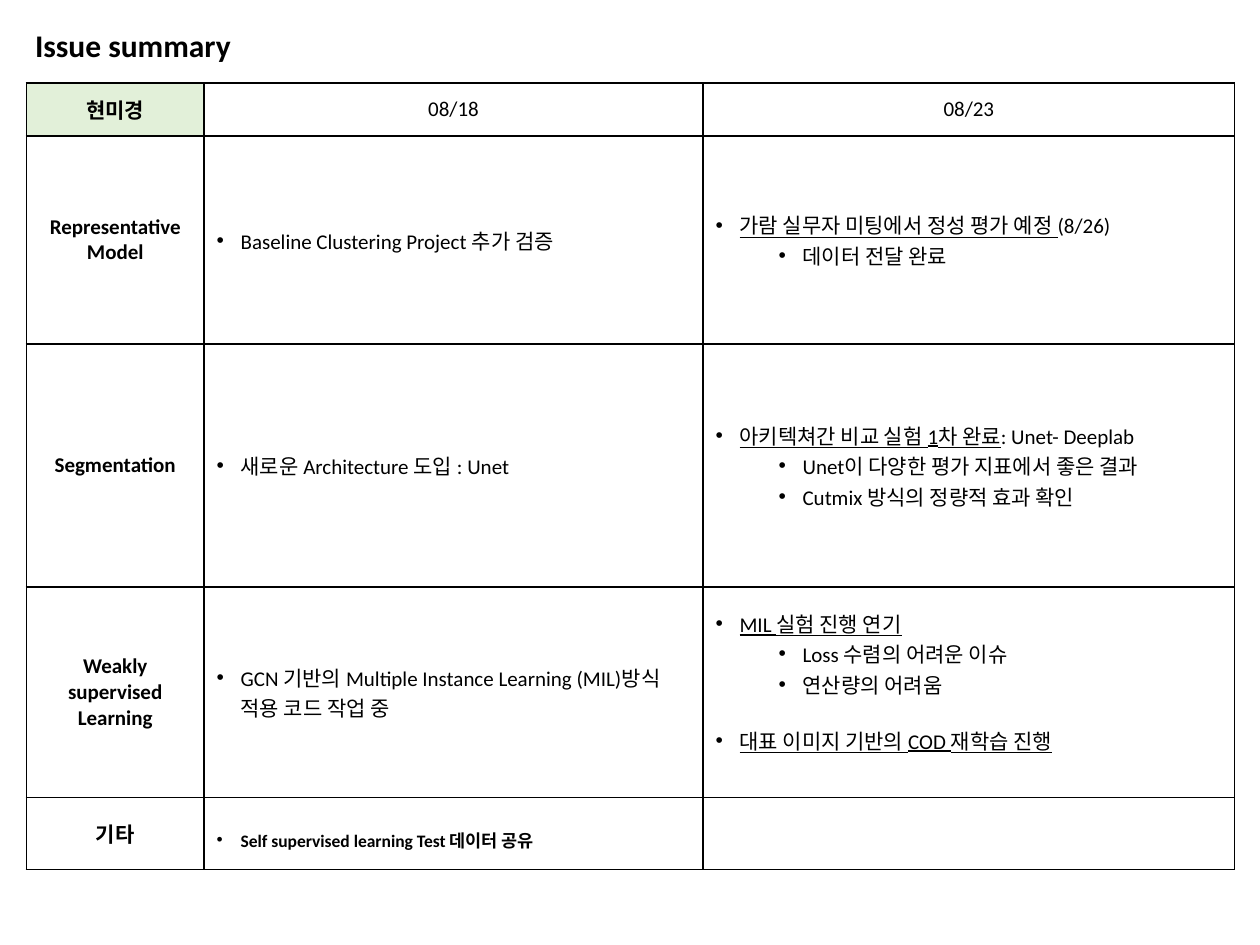
from dataclasses import dataclass

from lxml import etree
from pptx import Presentation
from pptx.dml.color import RGBColor
from pptx.enum.text import MSO_ANCHOR, PP_ALIGN
from pptx.oxml.ns import qn
from pptx.util import Inches, Pt

CENTER = PP_ALIGN.CENTER
MIDDLE = MSO_ANCHOR.MIDDLE


@dataclass(frozen=True)
class Theme:
    font: str = "Calibri"
    ink: RGBColor = RGBColor(0, 0, 0)
    paper: RGBColor = RGBColor(0xFF, 0xFF, 0xFF)
    accent: RGBColor = RGBColor(0xE2, 0xF0, 0xD9)
    title: Pt = Pt(18)
    body: Pt = Pt(12)
    small: Pt = Pt(10)
    border: Pt = Pt(1)


THEME = Theme()

# Each bullet: level, underlined part, plain part
HEADER = ["현미경", "08/18", "08/23"]
TOPICS = [
    ("Representative\nModel",
     [(0, "", "Baseline Clustering Project 추가 검증")],
     [(0, "가람 실무자 미팅에서 정성 평가 예정 ", "(8/26)"),
      (1, "", "데이터 전달 완료")]),
    ("Segmentation",
     [(0, "", "새로운 Architecture 도입 : Unet")],
     [(0, "아키텍쳐간 비교 실험 1차 완료", ": Unet- Deeplab"),
      (1, "", "Unet이 다양한 평가 지표에서 좋은 결과"),
      (1, "", "Cutmix 방식의 정량적 효과 확인")]),
    ("Weakly supervised\nLearning",
     [(0, "", "GCN 기반의 Multiple Instance Learning (MIL)방식 적용 코드 작업 중")],
     [(0, "MIL 실험 진행 연기", ""),
      (1, "", "Loss 수렴의 어려운 이슈"),
      (1, "", "연산량의 어려움"),
      (0, "대표 이미지 기반의 COD 재학습 진행", "")]),
    ("기타",
     [(0, "", "Self supervised learning Test 데이터 공유")],
     []),
]
COLUMN_WIDTHS = [1.41, 3.96, 4.22]
ROW_HEIGHTS = [0.42, 1.65, 1.93, 1.67, 0.57]


def style_run(run, size, bold=False, underline=False):
    run.font.name = THEME.font
    run.font.size = size
    run.font.bold = bold
    run.font.underline = underline
    run.font.color.rgb = THEME.ink


def write_bullets(cell, bullets, size, bold):
    frame = cell.text_frame
    for index, (level, underlined, plain) in enumerate(bullets):
        paragraph = frame.add_paragraph() if index else frame.paragraphs[0]
        paragraph.level = level
        properties = paragraph._p.get_or_add_pPr()
        properties.set("marL", str(Inches(0.19 + 0.5 * level)))
        properties.set("indent", str(-Inches(0.19)))
        etree.SubElement(properties, qn("a:buFont")).set("typeface", "Arial")
        etree.SubElement(properties, qn("a:buChar")).set("char", "•")
        # A new topic after sub-points is set apart
        if index and level == 0:
            paragraph.space_before = Pt(14.5)
        for text, underline in ((underlined, True), (plain, False)):
            if text:
                run = paragraph.add_run()
                run.text = text
                style_run(run, size, bold, underline)


prs = Presentation()
prs.slide_width, prs.slide_height = Inches(10), Inches(7.5)
slide = prs.slides.add_slide(prs.slide_layouts[6])

# Title
title = slide.shapes.add_textbox(Inches(0.18), Inches(0.16), Inches(3.13), Inches(0.4))
title.text_frame.word_wrap = True
title.text_frame.text = "Issue summary"
style_run(title.text_frame.paragraphs[0].runs[0], THEME.title, bold=True)

# Table grid
issues = slide.shapes.add_table(
    len(ROW_HEIGHTS), len(COLUMN_WIDTHS), Inches(0.21), Inches(0.66),
    Inches(sum(COLUMN_WIDTHS)), Inches(sum(ROW_HEIGHTS))).table
issues.first_row = issues.horz_banding = False
for column, width in zip(issues.columns, COLUMN_WIDTHS):
    column.width = Inches(width)
for row, height in zip(issues.rows, ROW_HEIGHTS):
    row.height = Inches(height)

# Borders and fills
for cell in issues.iter_cells():
    cell.vertical_anchor = MIDDLE
    cell_properties = cell._tc.get_or_add_tcPr()
    for side in ("a:lnL", "a:lnR", "a:lnT", "a:lnB"):
        line = etree.SubElement(cell_properties, qn(side), w=str(THEME.border))
        ink = etree.SubElement(line, qn("a:solidFill"))
        etree.SubElement(ink, qn("a:srgbClr"), val=str(THEME.ink))
    cell.fill.solid()
    cell.fill.fore_color.rgb = THEME.paper
issues.cell(0, 0).fill.fore_color.rgb = THEME.accent

# Header row and topic column
labels = [(0, column, text) for column, text in enumerate(HEADER)]
labels += [(row, 0, topic[0]) for row, topic in enumerate(TOPICS, 1)]
for row, column, text in labels:
    label = issues.cell(row, column)
    label.text_frame.text = text
    for paragraph in label.text_frame.paragraphs:
        paragraph.alignment = CENTER
        style_run(paragraph.runs[0], THEME.body, bold=column == 0)

# Progress notes per date
last_row = len(TOPICS)
for row, (_, *dates) in enumerate(TOPICS, 1):
    is_other = row == last_row
    for column, bullets in enumerate(dates, 1):
        write_bullets(issues.cell(row, column), bullets,
                      THEME.small if is_other else THEME.body, is_other)
issues.cell(last_row, 1).text_frame.paragraphs[0].line_spacing = 1.5
issues.cell(3, 2).margin_bottom = Inches(0.22)

prs.save("out.pptx")
